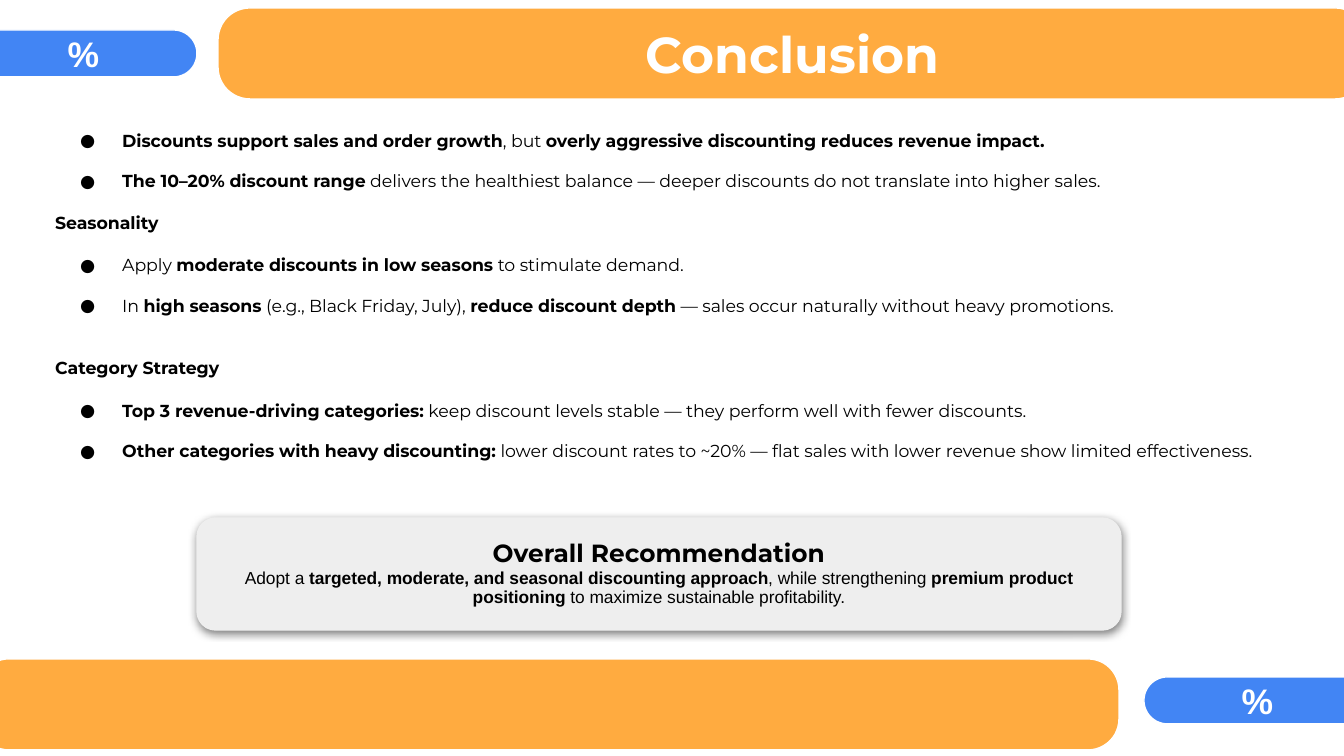
from dataclasses import dataclass
from lxml.etree import SubElement as Sub
from pptx import Presentation
from pptx.dml.color import RGBColor as RGB
from pptx.enum.shapes import MSO_SHAPE as Kind
from pptx.enum.text import MSO_ANCHOR as Anchor, PP_ALIGN as Align
from pptx.oxml.ns import qn
from pptx.util import Emu, Inches, Pt

SCALE = Inches(1) / 134.4


def px(n):
    return Emu(round(n * SCALE))


@dataclass(frozen=True)
class Theme:
    band: str = "FFAB40"
    tag: str = "4285F4"
    card: str = "EEEEEE"
    ink: str = "000000"
    white: str = "FFFFFF"
    main: str = "Montserrat"
    plain: str = "Arial"
    title: float = 27
    mark: float = 19
    head: float = 13.3
    body: float = 9.3
    lead: float = 0.95


def write(para, text, *, font, size, color, bold=False, align=None, lead=None, before=0):
    """Fill a paragraph; each ** in the text switches bold on or off."""
    para.alignment = align
    para.line_spacing = lead
    para.space_before = Pt(before)
    for i, part in enumerate(text.split("**")):
        if part:
            run = para.add_run()
            run.text = part
            run.font.name = font
            run.font.size = Pt(size)
            run.font.bold = bold or i % 2 == 1
            run.font.color.rgb = RGB.from_string(color)


class Deck:
    def __init__(self, theme):
        self.theme = theme
        self.file = Presentation()
        self.file.slide_width, self.file.slide_height = px(1344), px(756)
        self.slide = self.file.slides.add_slide(self.file.slide_layouts[6])

    def frame(self, shape, anchor):
        frame = shape.text_frame
        frame.word_wrap = True
        frame.vertical_anchor = anchor
        frame.margin_left = frame.margin_right = Inches(0.1)
        frame.margin_top = frame.margin_bottom = Inches(0.1)
        return frame

    def panel(self, x, y, w, h, fill, edge, curve):
        shape = self.slide.shapes.add_shape(Kind.ROUNDED_RECTANGLE, px(x), px(y), px(w), px(h))
        shape.adjustments[0] = curve
        shape.shadow.inherit = False
        shape.fill.solid()
        shape.fill.fore_color.rgb = RGB.from_string(fill)
        shape.line.color.rgb = RGB.from_string(edge)
        shape.line.width = Pt(0.75)
        return shape

    def band(self, x, y, w, curve, text=""):
        t = self.theme
        shape = self.panel(x, y, w, 91, t.band, t.white, curve)
        if text:
            write(self.frame(shape, Anchor.MIDDLE).paragraphs[0], text, font=t.main,
                  size=t.title, color=t.white, bold=True, align=Align.CENTER)

    def tag(self, x, y, text):
        t = self.theme
        shape = self.panel(x, y, 227, 47, t.tag, t.white, 0.5)
        write(self.frame(shape, Anchor.MIDDLE).paragraphs[0], text, font=t.plain,
              size=t.mark, color=t.white, bold=True, align=Align.CENTER)

    def card(self, x, y, w, h, head, text):
        t = self.theme
        shape = self.panel(x, y, w, h, t.card, t.card, 0.167)
        self.shade(shape)
        frame = self.frame(shape, Anchor.MIDDLE)
        write(frame.paragraphs[0], head, font=t.main, size=t.head, color=t.ink,
              bold=True, align=Align.CENTER, lead=t.lead)
        write(frame.add_paragraph(), text, font=t.plain, size=t.body, color=t.ink,
              align=Align.CENTER, lead=t.lead)

    def shade(self, shape):
        """Drop a soft shadow straight down."""
        effects = shape.element.spPr.find(qn("a:effectLst"))
        outer = Sub(effects, qn("a:outerShdw"), blurRad=str(Pt(4.5)), dist=str(Pt(1.5)),
                    dir="5400000", algn="bl", rotWithShape="0")
        color = Sub(outer, qn("a:srgbClr"), val=self.theme.ink)
        Sub(color, qn("a:alpha"), val="50000")

    def bullet(self, para):
        props = para._p.get_or_add_pPr()
        props.set("marL", str(px(67)))
        props.set("indent", str(px(-42)))
        color = Sub(props, qn("a:buClr"))
        Sub(color, qn("a:srgbClr"), val=self.theme.ink)
        Sub(props, qn("a:buFont"), typeface=self.theme.main)
        Sub(props, qn("a:buChar"), char="●")

    def notes(self, x, y, w, h, lines):
        """Set lines of (is bullet, space before, text)."""
        t = self.theme
        box = self.slide.shapes.add_textbox(px(x), px(y), px(w), px(h))
        frame = self.frame(box, Anchor.TOP)
        for i, (listed, gap, text) in enumerate(lines):
            para = frame.add_paragraph() if i else frame.paragraphs[0]
            write(para, text, font=t.main, size=t.body, color=t.ink, lead=t.lead, before=gap)
            if listed:
                self.bullet(para)


LINES = [
    (True, 0, "**Discounts support sales and order growth**, but "
              "**overly aggressive discounting reduces revenue impact.**"),
    (True, 11, "**The 10–20% discount range** delivers the healthiest balance — "
               "deeper discounts do not translate into higher sales."),
    (False, 12, "**Seasonality**"),
    (True, 12, "Apply **moderate discounts in low seasons** to stimulate demand."),
    (True, 11, "In **high seasons** (e.g., Black Friday, July), **reduce discount depth** — "
               "sales occur naturally without heavy promotions."),
    (False, 23, "**Category Strategy**"),
    (True, 12, "**Top 3 revenue-driving categories:** keep discount levels stable — "
               "they perform well with fewer discounts."),
    (True, 11, "**Other categories with heavy discounting:** lower discount rates to ~20% — "
               "flat sales with lower revenue show limited effectiveness."),
]


def main():
    deck = Deck(Theme())
    deck.notes(42, 118, 1253, 394, LINES)
    deck.band(-22, 659, 1141, 0.34)
    deck.band(218, 8, 1149, 0.35, "Conclusion")
    deck.tag(-30, 30, "%")
    deck.tag(1144, 677, "%")
    deck.card(197, 518, 924, 112, "Overall Recommendation",
              "Adopt a **targeted, moderate, and seasonal discounting approach**, while "
              "strengthening **premium product positioning** to maximize sustainable "
              "profitability.")
    deck.file.save("out.pptx")


if __name__ == "__main__":
    main()
